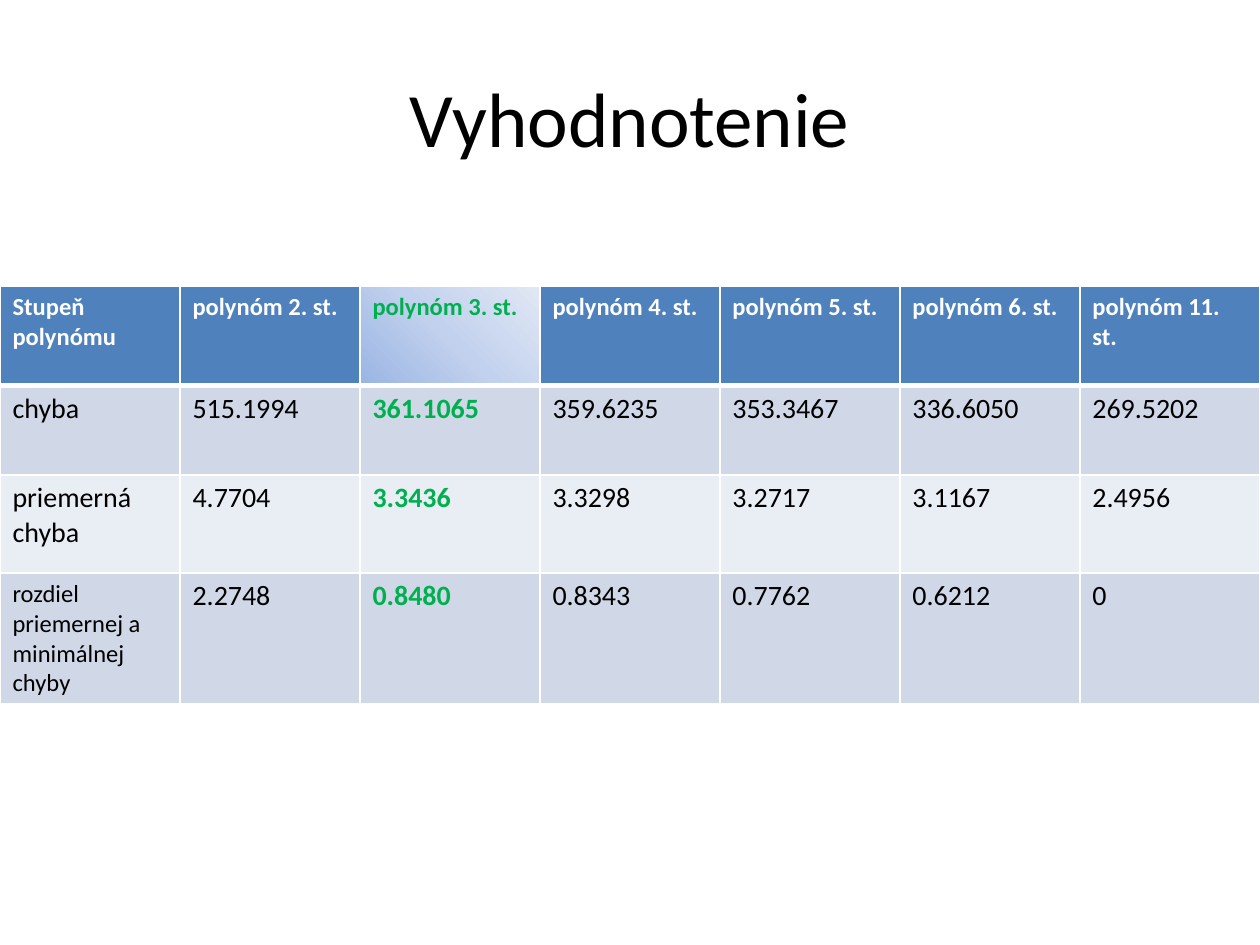
from dataclasses import dataclass

from lxml import etree
from pptx import Presentation
from pptx.dml.color import RGBColor
from pptx.enum import text
from pptx.oxml import ns
from pptx.util import Pt


@dataclass(frozen=True)
class Theme:
    font: str = "Calibri"
    title_size: int = 44
    body_size: int = 16
    small_size: int = 14
    black: str = "000000"
    white: str = "FFFFFF"
    header: str = "4F81BD"
    highlight: str = "00B050"
    bands: tuple[str, str] = ("D0D8E8", "E9EDF4")
    gradient: tuple[tuple[int, str], ...] = ((0, "9AB5E4"), (50, "C2D1ED"), (100, "E1E8F5"))
    gradient_angle: int = 315


@dataclass(frozen=True)
class TableRow:
    height: float
    label: str
    values: tuple[str, ...]
    label_size: int


THEME = Theme()
SLIDE_WIDTH, SLIDE_HEIGHT = 720, 540
TABLE_TOP = 163.4
BEST_COLUMN = 2
ROWS = (
    TableRow(57, "Stupeň polynómu", tuple(f"polynóm {degree}. st." for degree in (2, 3, 4, 5, 6, 11)),
             THEME.small_size),
    TableRow(51, "chyba", ("515.1994", "361.1065", "359.6235", "353.3467", "336.6050", "269.5202"),
             THEME.body_size),
    TableRow(56, "priemerná chyba", ("4.7704", "3.3436", "3.3298", "3.2717", "3.1167", "2.4956"),
             THEME.body_size),
    TableRow(75, "rozdiel priemernej a minimálnej chyby",
             ("2.2748", "0.8480", "0.8343", "0.7762", "0.6212", "0"), THEME.small_size),
)


def write(paragraph, content: str, size: int, color: str, bold: bool = False) -> None:
    run = paragraph.add_run()
    run.text = content
    for name, value in {"name": THEME.font, "size": Pt(size), "bold": bold}.items():
        setattr(run.font, name, value)
    run.font.color.rgb = RGBColor.from_string(color)


def add_element(parent, tag: str, **attributes):
    return etree.SubElement(parent, ns.qn(tag), {name: str(value) for name, value in attributes.items()})


def set_borders(cell, top: float, bottom: float) -> None:
    properties = cell._tc.get_or_add_tcPr()
    for side, width in {"L": 1, "R": 1, "T": top, "B": bottom}.items():
        line = add_element(properties, f"a:ln{side}", w=int(Pt(width)))
        add_element(add_element(line, "a:solidFill"), "a:srgbClr", val=THEME.white)


def fill_solid(cell, color: str) -> None:
    cell.fill.solid()
    cell.fill.fore_color.rgb = RGBColor.from_string(color)


def fill_gradient(cell) -> None:
    gradient = add_element(cell._tc.get_or_add_tcPr(), "a:gradFill", rotWithShape=1)
    stops = add_element(gradient, "a:gsLst")
    for percent, color in THEME.gradient:
        add_element(add_element(stops, "a:gs", pos=percent * 1000), "a:srgbClr", val=color)
    add_element(gradient, "a:lin", ang=THEME.gradient_angle * 60000, scaled=1)


def add_title(slide, content: str) -> None:
    frame = slide.shapes.add_textbox(Pt(36), Pt(21.6), Pt(648), Pt(90)).text_frame
    frame.word_wrap = True
    frame.vertical_anchor = text.MSO_ANCHOR.MIDDLE
    paragraph = frame.paragraphs[0]
    paragraph.alignment = text.PP_ALIGN.CENTER
    write(paragraph, content, THEME.title_size, THEME.black)


def style_cell(cell, row: int, column: int) -> None:
    """Set the borders and fill that the cell's place in the table calls for."""
    set_borders(cell, top=3 if row == 1 else 1, bottom=3 if row == 0 else 1)
    if row:
        fill_solid(cell, THEME.bands[(row - 1) % 2])
    elif column == BEST_COLUMN:
        fill_gradient(cell)
    else:
        fill_solid(cell, THEME.header)


def add_results(slide) -> None:
    column_count = len(ROWS[0].values) + 1
    table = slide.shapes.add_table(len(ROWS), column_count, Pt(0), Pt(TABLE_TOP), Pt(SLIDE_WIDTH),
                                   Pt(sum(row.height for row in ROWS))).table
    for column in table.columns:
        column.width = Pt(SLIDE_WIDTH / column_count)
    for row_index, row in enumerate(ROWS):
        table.rows[row_index].height = Pt(row.height)
        is_header = row_index == 0
        for column_index, content in enumerate((row.label, *row.values)):
            cell = table.cell(row_index, column_index)
            style_cell(cell, row_index, column_index)
            is_best = column_index == BEST_COLUMN
            color = THEME.highlight if is_best else THEME.white if is_header else THEME.black
            size = row.label_size if is_header or column_index == 0 else THEME.body_size
            write(cell.text_frame.paragraphs[0], content, size, color, is_header or is_best)


def main() -> None:
    presentation = Presentation()
    presentation.slide_width, presentation.slide_height = Pt(SLIDE_WIDTH), Pt(SLIDE_HEIGHT)
    slide = presentation.slides.add_slide(presentation.slide_layouts[6])
    add_title(slide, "Vyhodnotenie")
    add_results(slide)
    presentation.save("out.pptx")


if __name__ == "__main__":
    main()
